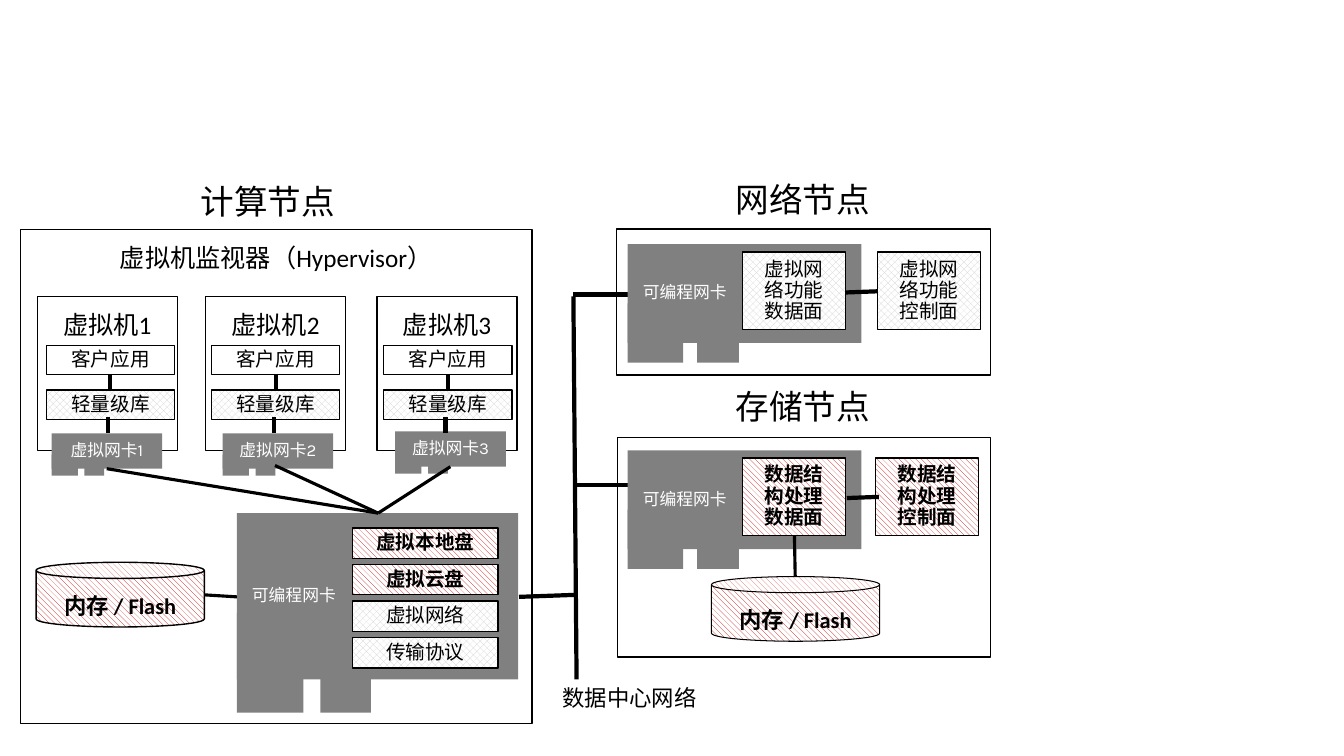
"""Build the slide showing compute, network and storage nodes with programmable NICs."""
from lxml.etree import SubElement
from pptx import Presentation
from pptx.dml.color import RGBColor
from pptx.enum.dml import MSO_PATTERN as Pattern
from pptx.enum.shapes import MSO_CONNECTOR as Connector, MSO_SHAPE as Shape
from pptx.enum.text import MSO_ANCHOR as Anchor, MSO_AUTO_SIZE as AutoSize, PP_ALIGN as Align
from pptx.oxml.ns import qn
from pptx.util import Cm, Pt

BLACK = RGBColor(0, 0, 0)
WHITE = RGBColor(255, 255, 255)
GRAY = RGBColor(0x80, 0x80, 0x80)
RED = RGBColor(0xC0, 0, 0)
LIGHT_GRAY = RGBColor(0xD0, 0xCE, 0xCE)

STORAGE = (Pattern.WIDE_DOWNWARD_DIAGONAL, RED)
NETWORK = (Pattern.PERCENT_50, LIGHT_GRAY)
BOX_INSETS = (0.51, 0.41)
CARD_INSETS = (0.38, 0.3)
CARD_FEET = ((0, 0.237), (0.297, 0.179))

HEADINGS = [("计算节点", 4.55, 4.27), ("网络节点", 18.03, 4.22), ("存储节点", 18.03, 9.42)]
FRAMES = [
    ("虚拟机监视器（Hypervisor）", (0.51, 5.79, 12.9, 12.45)),
    ("", (15.54, 5.77, 9.42, 3.68)),
    ("", (15.57, 11.02, 9.4, 5.54)),
]
MACHINES = [
    {"left": 0.94, "app": 1.17, "card": (1.3, 10.92), "stem": 2.77, "uplink": (2.69, 11.81)},
    {"left": 5.18, "app": 5.33, "card": (5.61, 10.92), "stem": 6.96, "uplink": (6.93, 11.73)},
    {"left": 9.5, "app": 9.67, "card": (9.96, 10.87), "stem": 11.28, "uplink": (11.35, 11.76)},
]
HOST_PORT = (9.53, 12.93)
NETWORK_LINES = [
    (14.45, 7.47, 14.53, 17.12),
    (14.45, 7.42, 15.82, 7.42),
    (14.53, 12.22, 16.15, 12.22),
    (13.08, 15.04, 14.48, 14.99),
]
MEMORY_LINES = [(20.02, 13.49, 20.04, 14.53), (5.16, 14.99, 5.97, 15.04)]
MEMORIES = [(0.91, 14.17, 1), (17.93, 14.53, 0.75)]
NIC_CARDS = [(5.97, 12.93, 7.09, 4.19), (15.82, 6.15, 5.89, 2.49), (15.82, 11.35, 5.89, 2.49)]
MODULES = [("虚拟本地盘", STORAGE), ("虚拟云盘", STORAGE), ("虚拟网络", NETWORK), ("传输协议", NETWORK)]
PLANES = [
    ("虚拟网络功能", NETWORK, 6.35, 22.12, (21.31, 7.37, 22.12, 7.34)),
    ("数据结构处理", STORAGE, 11.54, 22.07, (21.34, 12.55, 22.15, 12.52)),
]


def write(shape, text, size, color=BLACK, font="Calibri", bold=False,
          align=Align.CENTER, anchor=Anchor.TOP, insets=BOX_INSETS):
    """Fill a shape with one formatted paragraph."""
    frame = shape.text_frame
    frame.margin_left = frame.margin_right = Cm(insets[0])
    frame.margin_top = frame.margin_bottom = Cm(insets[1])
    frame.word_wrap = True
    frame.vertical_anchor = anchor
    frame.text = text
    paragraph = frame.paragraphs[0]
    paragraph.alignment = align
    paragraph.line_spacing = 0.9
    for run in paragraph.runs:
        run.font.size = Pt(size)
        run.font.name = font
        run.font.bold = bold
        run.font.color.rgb = color
    return frame


def add_block(shapes, box, fill=WHITE, outline=1, kind=Shape.RECTANGLE):
    """Add a shape with a solid or patterned fill and an optional black outline."""
    shape = shapes.add_shape(kind, *map(Cm, box))
    shape.shadow.inherit = False
    if isinstance(fill, RGBColor):
        shape.fill.solid()
        shape.fill.fore_color.rgb = fill
    else:
        shape.fill.patterned()
        shape.fill.pattern, shape.fill.fore_color.rgb = fill
        shape.fill.back_color.rgb = WHITE
    if outline:
        shape.line.color.rgb = BLACK
        shape.line.width = Pt(outline)
    else:
        shape.line.fill.background()
    return shape


def add_module(shapes, text, box, fill):
    """Add a box with a vertically centred label, bold when it belongs to storage."""
    write(add_block(shapes, box, fill), text, 14, bold=fill == STORAGE, anchor=Anchor.MIDDLE)


def add_card(shapes, text, box, align=Align.LEFT):
    """Add a network card: a body standing on two feet."""
    left, top, width, height = box
    group = shapes.add_group_shape().shapes
    for offset, share in CARD_FEET:
        foot = (left + offset * width, top + 0.6 * height, share * width, 0.6 * height)
        add_block(group, foot, GRAY, 0)
    write(add_block(group, box, GRAY, 0), text, 12, WHITE, "Karla", False,
          align, Anchor.MIDDLE, CARD_INSETS)


def add_line(shapes, ends, width):
    """Add a straight black line without a shadow."""
    line = shapes.add_connector(Connector.STRAIGHT, *map(Cm, ends))
    line.line.color.rgb = BLACK
    line.line.width = Pt(width)
    SubElement(line._element.spPr, qn("a:effectLst"))


def add_label(shapes, text, box, size):
    """Add a free-standing label that grows with its text."""
    frame = write(shapes.add_textbox(*map(Cm, box)), text, size, align=Align.LEFT)
    frame.auto_size = AutoSize.SHAPE_TO_FIT_TEXT
    frame.paragraphs[0].space_after = Pt(6)
    return frame


def main():
    """Draw the slide and save it."""
    presentation = Presentation()
    presentation.slide_width, presentation.slide_height = Cm(33.87), Cm(19.05)
    shapes = presentation.slides.add_slide(presentation.slide_layouts[6]).shapes

    for text, box in FRAMES:
        write(add_block(shapes, box), text, 18)
    for text, left, top in HEADINGS:
        add_label(shapes, text, (left, top, 4.45, 1.75), 24).word_wrap = False
    add_label(shapes, "数据中心网络", (13.67, 17.02, 4.45, 1.45), 16)

    for ends in NETWORK_LINES:
        add_line(shapes, ends, 3)
    for box in NIC_CARDS:
        add_card(shapes, "可编程网卡", box)
    for ends in MEMORY_LINES:
        add_line(shapes, ends, 2.25)
    for left, top, outline in MEMORIES:
        memory = add_block(shapes, (left, top, 4.24, 1.63), STORAGE, outline, Shape.CAN)
        write(memory, "内存 / Flash", 16, bold=True)

    for row, (text, fill) in enumerate(MODULES):
        add_module(shapes, text, (8.89, 13.31 + 0.92 * row, 3.66, 0.76), fill)
    for name, fill, top, control_left, ends in PLANES:
        for suffix, left in (("数据面", 18.72), ("控制面", control_left)):
            add_module(shapes, name + suffix, (left, top, 2.59, 1.96), fill)
        add_line(shapes, ends, 3)

    for number, machine in enumerate(MACHINES, 1):
        app, stem = machine["app"], machine["stem"]
        write(add_block(shapes, (machine["left"], 7.47, 3.53, 3.89)), f"虚拟机{number}", 18)
        add_card(shapes, f"虚拟网卡{number}", (*machine["card"], 2.79, 0.89), Align.CENTER)
        add_module(shapes, "客户应用", (app, 8.7, 3.23, 0.74), WHITE)
        add_module(shapes, "轻量级库", (app, 9.83, 3.23, 0.74), NETWORK)
        add_line(shapes, (stem, 9.42, stem, 9.83), 3)
        add_line(shapes, (stem - 0.05, 10.52, stem - 0.05, 10.9), 3)
        add_line(shapes, (*machine["uplink"], *HOST_PORT), 2.25)

    presentation.save("out.pptx")


if __name__ == "__main__":
    main()
